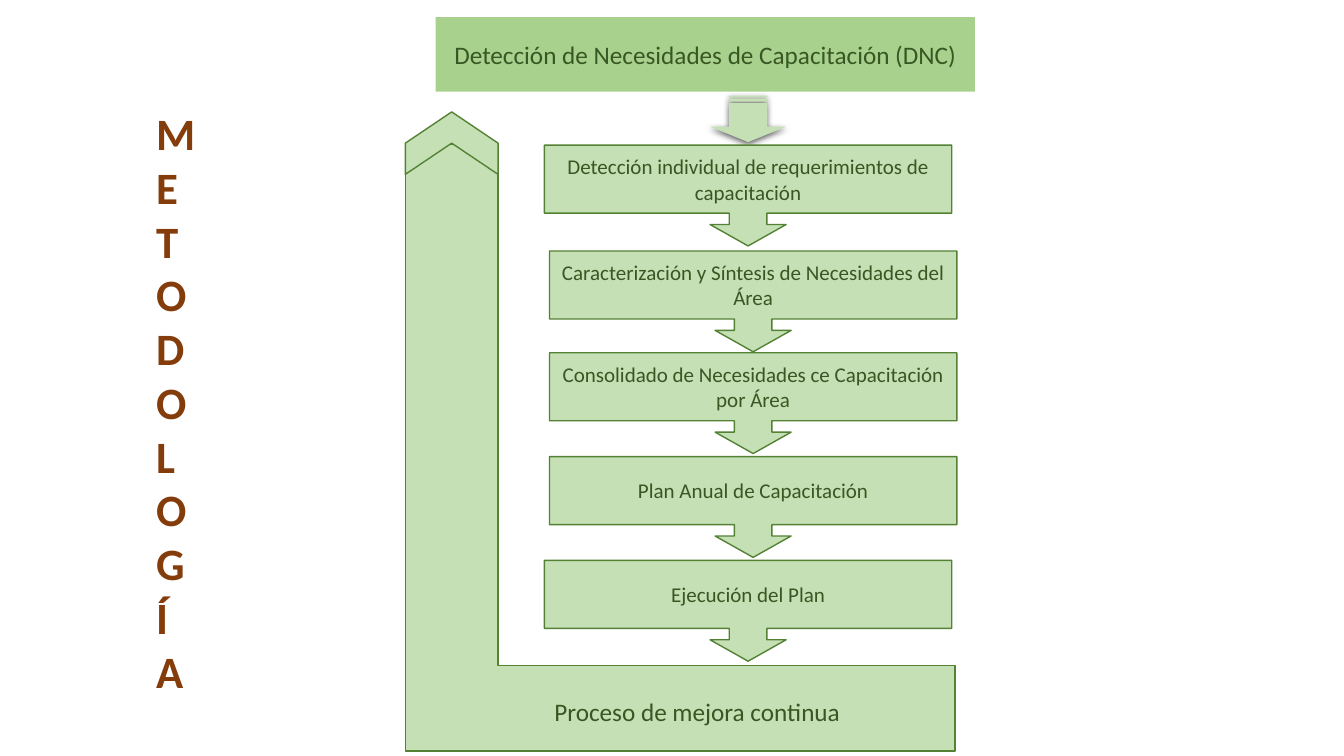
from dataclasses import dataclass

from lxml.etree import SubElement
from pptx import Presentation
from pptx.dml.color import RGBColor
from pptx.enum.shapes import MSO_SHAPE as Shape
from pptx.enum.text import MSO_ANCHOR as Anchor, PP_ALIGN as Align
from pptx.oxml.ns import qn
from pptx.util import Inches, Pt


@dataclass(frozen=True)
class Theme:
    font: str = "Calibri"
    header: str = "A9D18E"
    fill: str = "C5E0B4"
    outline: str = "548235"
    text: str = "385723"
    title: str = "843C0B"
    shadow: str = "000000"
    title_size: int = 32
    header_size: int = 18
    step_size: int = 15
    line_width: int = 1


class Diagram:
    def __init__(self, slide, theme):
        self.slide = slide
        self.theme = theme

    def add_text(self, frame, text, size, color, bold=False, align=Align.LEFT):
        frame.word_wrap = True
        para = frame.paragraphs[0]
        para.alignment = align
        span = para.add_run()
        span.text = text
        style = {"name": self.theme.font, "size": Pt(size), "bold": bold}
        for name, value in style.items():
            setattr(span.font, name, value)
        span.font.color.rgb = RGBColor.from_string(color)

    def label(self, bounds, text, size, color, bold=False):
        box = self.slide.shapes.add_textbox(*map(Inches, bounds))
        self.add_text(box.text_frame, text, size, color, bold)

    def shape(self, kind, bounds, fill=None, outlined=True, adjust=(), rotation=0):
        shape = self.slide.shapes.add_shape(kind, *map(Inches, bounds))
        shape.shadow.inherit = False
        shape.rotation = rotation
        for index, value in enumerate(adjust):
            shape.adjustments[index] = value
        shape.fill.solid()
        shape.fill.fore_color.rgb = RGBColor.from_string(fill or self.theme.fill)
        if outlined:
            shape.line.color.rgb = RGBColor.from_string(self.theme.outline)
            shape.line.width = Pt(self.theme.line_width)
        else:
            shape.line.fill.background()
        return shape

    def box(self, kind, bounds, text, size, **look):
        shape = self.shape(kind, bounds, **look)
        shape.text_frame.vertical_anchor = Anchor.MIDDLE
        self.add_text(shape.text_frame, text, size, self.theme.text, align=Align.CENTER)

    def drop_shadow(self, shape):
        """Cast a soft shadow straight down."""
        effects = shape.element.spPr.find(qn("a:effectLst"))
        shadow = SubElement(effects, qn("a:outerShdw"), {
            "blurRad": str(Pt(4.5)), "dist": str(Pt(1.5)),
            "dir": "5400000", "rotWithShape": "0"})
        color = SubElement(shadow, qn("a:srgbClr"), val=self.theme.shadow)
        SubElement(color, qn("a:alpha"), val="63000")


STEPS = [
    (5.4, 1.44, "Detección individual de requerimientos de capacitación"),
    (5.45, 2.49, "Caracterización y Síntesis de Necesidades del Área"),
    (5.45, 3.5, "Consolidado de Necesidades ce Capacitación por Área"),
    (5.45, 4.53, "Plan Anual de Capacitación"),
    (5.4, 5.56, "Ejecución del Plan"),
]


def main():
    deck = Presentation()
    deck.slide_width, deck.slide_height = Inches(13.33), Inches(7.5)
    theme = Theme()
    diagram = Diagram(deck.slides.add_slide(deck.slide_layouts[6]), theme)

    # The narrow box stacks the word one letter to a line
    diagram.label((1.45, 1, 0.53, 6.02), "METODOLOGÍA",
                  theme.title_size, theme.title, bold=True)

    diagram.shape(Shape.CORNER, (4.02, 1.43, 5.45, 6.02), adjust=(0.155, 0.169))
    diagram.label((5.4, 6.86, 3.19, 0.4), "Proceso de mejora continua",
                  theme.header_size, theme.text)
    diagram.shape(Shape.CHEVRON, (4.17, 0.96, 0.62, 0.92), rotation=270)

    diagram.box(Shape.RECTANGLE, (4.32, 0.17, 5.35, 0.74),
                "Detección de Necesidades de Capacitación (DNC)",
                theme.header_size, fill=theme.header, outlined=False)
    arrow = diagram.shape(Shape.STRIPED_RIGHT_ARROW, (7.19, 0.8, 0.46, 0.76),
                          outlined=False, adjust=(0.5, 0.334), rotation=90)
    diagram.drop_shadow(arrow)

    for left, top, text in STEPS:
        diagram.box(Shape.DOWN_ARROW_CALLOUT, (left, top, 4.04, 1), text,
                    theme.step_size, adjust=(0.373, 0.377, 0.212, 0.675))

    deck.save("out.pptx")


if __name__ == "__main__":
    main()
